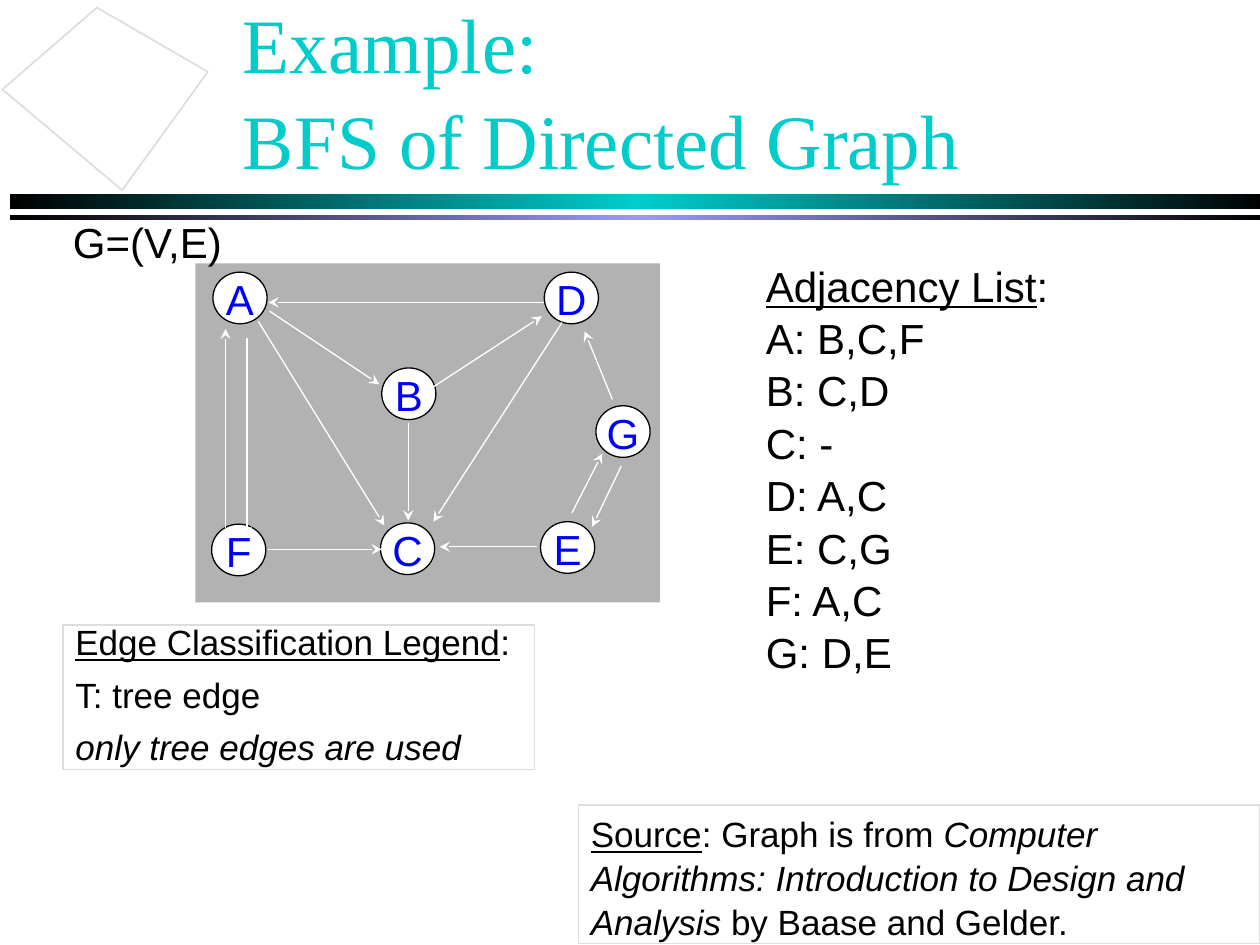
import copy
from dataclasses import dataclass

import pptx
import pptx.dml.color
import pptx.enum.shapes
import pptx.enum.text
import pptx.oxml.ns
import pptx.util
from lxml import etree

Inches = pptx.util.Inches
Pt = pptx.util.Pt
Shape = pptx.enum.shapes.MSO_SHAPE
Anchor = pptx.enum.text.MSO_ANCHOR
qn = pptx.oxml.ns.qn


@dataclass(frozen=True)
class Theme:
    black: str = "000000"
    white: str = "FFFFFF"
    teal: str = "00CCCC"
    lavender: str = "9999FF"
    panel: str = "B2B2B2"
    frame: str = "DDDDDD"
    label: str = "0000FF"
    serif: str = "Times New Roman"
    sans: str = "Arial"
    title_size: int = 44
    body_size: int = 24
    note_size: int = 20
    hairline: float = 0.75
    leading: float = 1.04


THEME = Theme()

NODE_SIZE = (0.43, 0.41)
NODES = {
    "A": (1.69, 2.16), "B": (3.03, 2.92), "C": (3.02, 4.15), "D": (4.32, 2.16),
    "E": (4.29, 4.14), "F": (1.68, 4.16), "G": (4.73, 3.22),
}
EDGES = {
    "FA": (1.79, 4.19, 1.79, 2.61), "AF": (1.96, 2.68, 1.96, 4.26),
    "DA": (4.32, 2.4, 2.13, 2.4), "DC": (4.46, 2.56, 3.44, 4.14),
    "FC": (2.13, 4.36, 3.03, 4.36), "EC": (4.26, 4.34, 3.49, 4.34),
    "BD": (3.44, 3.07, 4.3, 2.51), "AC": (2.05, 2.55, 3.05, 4.17),
    "AB": (2.14, 2.47, 3.01, 3.05), "BC": (3.24, 3.36, 3.24, 4.13),
    "GE": (4.93, 3.7, 4.7, 4.18), "EG": (4.54, 4.07, 4.78, 3.6),
    "GD": (4.86, 3.17, 4.64, 2.63),
}


def rgb(color):
    return pptx.dml.color.RGBColor.from_string(color)


def paint(shape, fill=None, line=None, width=THEME.hairline):
    shape.shadow.inherit = False
    if fill:
        shape.fill.solid()
        shape.fill.fore_color.rgb = rgb(fill)
    else:
        shape.fill.background()
    if line:
        shape.line.color.rgb = rgb(line)
        shape.line.width = Pt(width)
    else:
        shape.line.fill.background()


def add_shape(page, kind, place, **colors):
    shape = page.shapes.add_shape(kind, *map(Inches, place))
    paint(shape, **colors)
    return shape


def add_gradient_bar(page, place, middle):
    """Draw a bar that fades from black to the middle colour and back."""
    bar = add_shape(page, Shape.RECTANGLE, place)
    bar.fill.gradient()
    bar.fill.gradient_angle = 0
    stop_list = next(bar.fill._xPr.iter(qn("a:gsLst")))
    stop_list.append(copy.deepcopy(stop_list[0]))
    for stop, color, position in zip(
        bar.fill.gradient_stops, (THEME.black, middle, THEME.black), (0, 0.5, 1)
    ):
        stop.color.rgb = rgb(color)
        stop.position = position


def add_diamond(page):
    corners = [(0.97, 1.51), (0.02, 0.71), (0.77, 0.06), (1.65, 0.57)]
    points = [(Inches(x), Inches(y)) for x, y in corners]
    builder = page.shapes.build_freeform(*points[0])
    builder.add_line_segments(points[1:], close=True)
    paint(builder.convert_to_shape(), THEME.white, THEME.frame, 1)


def write(shape, paragraphs, size, color=THEME.black, font=THEME.sans,
          wrap=True, anchor=Anchor.TOP, align=pptx.enum.text.PP_ALIGN.LEFT,
          leading=THEME.leading, gap=0):
    """Fill a shape with paragraphs, each a list of (text, style) spans.

    Style "u" underlines a span and "i" sets it in italics.
    """
    frame = shape.text_frame
    frame.word_wrap = wrap
    frame.vertical_anchor = anchor
    for index, spans in enumerate(paragraphs):
        para = frame.add_paragraph() if index else frame.paragraphs[0]
        para.alignment = align
        para.line_spacing = leading
        if index:
            para.space_before = Pt(gap)
        para.font.size = Pt(size)
        para.font.name = font
        para.font.color.rgb = rgb(color)
        for text, style in spans:
            span = para.add_run()
            span.text = text
            if style == "u":
                span.font.underline = True
            elif style == "i":
                span.font.italic = True


def add_text(page, place, paragraphs, size, **options):
    box = page.shapes.add_textbox(*map(Inches, place))
    write(box, paragraphs, size, **options)
    return box


def add_title(page):
    box = add_text(page, (1.83, 0.08, 8.5, 1.25), [[("Example: ", "")]],
                   THEME.title_size, color=THEME.teal, font=THEME.serif,
                   anchor=Anchor.MIDDLE)
    para = box.text_frame.paragraphs[0]
    para.add_line_break()
    para.add_run().text = "BFS of Directed Graph"
    for span in para.runs:
        effects = etree.SubElement(span.font._element, qn("a:effectLst"))
        shadow = etree.SubElement(effects, qn("a:outerShdw"),
                                  dist="25400", dir="2700000")
        etree.SubElement(shadow, qn("a:srgbClr"), val=THEME.black)


def add_node(page, name, corner):
    node = add_shape(page, Shape.OVAL, corner + NODE_SIZE,
                     fill=THEME.white, line=THEME.black)
    write(node, [[(name, "")]], THEME.body_size, color=THEME.label, wrap=False,
          anchor=Anchor.MIDDLE, align=pptx.enum.text.PP_ALIGN.CENTER)


def add_edge(page, ends):
    edge = page.shapes.add_connector(
        pptx.enum.shapes.MSO_CONNECTOR.STRAIGHT, *map(Inches, ends))
    edge.line.color.rgb = rgb(THEME.white)
    edge.line.width = Pt(THEME.hairline)
    etree.SubElement(edge.line._get_or_add_ln(), qn("a:tailEnd"), type="stealth")
    etree.SubElement(edge._element.spPr, qn("a:effectLst"))


def add_graph(page):
    add_shape(page, Shape.RECTANGLE, (1.55, 2.09, 3.69, 2.69), fill=THEME.panel)
    for name, corner in NODES.items():
        add_node(page, name, corner)
    for ends in EDGES.values():
        add_edge(page, ends)


def add_framed_note(page, place, paragraphs, **options):
    note = add_shape(page, Shape.RECTANGLE, place, line=THEME.frame)
    write(note, paragraphs, THEME.note_size, **options)


def main():
    deck = pptx.Presentation()
    deck.slide_width, deck.slide_height = Inches(10), Inches(7.5)
    page = deck.slides.add_slide(deck.slide_layouts[6])

    add_gradient_bar(page, (0.08, 1.54, 9.99, 0.12), THEME.teal)
    add_gradient_bar(page, (0.08, 1.71, 9.99, 0.04), THEME.lavender)
    add_diamond(page)
    add_title(page)
    add_framed_note(page, (4.59, 6.39, 5.41, 1.1), [[
        ("Source", "u"), (": Graph is from ", ""),
        ("Computer Algorithms: Introduction to Design and Analysis", "i"),
        (" by Baase and Gelder.", "")]])
    add_graph(page)
    add_text(page, (0.48, 1.65, 1.41, 0.5), [[("G=(V,E)", "")]],
             THEME.body_size, wrap=False)
    neighbours = ["A: B,C,F", "B: C,D", "C: -", "D: A,C", "E: C,G", "F: A,C", "G: D,E"]
    add_text(page, (5.98, 2, 2.44, 3.3),
             [[("Adjacency List", "u"), (":", "")]]
             + [[(line, "")] for line in neighbours],
             THEME.body_size, wrap=False)
    add_framed_note(page, (0.5, 4.96, 3.74, 1.15), [
        [("Edge Classification Legend", "u"), (":", "")],
        [("T: tree edge", "")],
        [("only tree edges are used", "i")]], leading=0.73, gap=12.5)

    deck.save("out.pptx")


if __name__ == "__main__":
    main()
